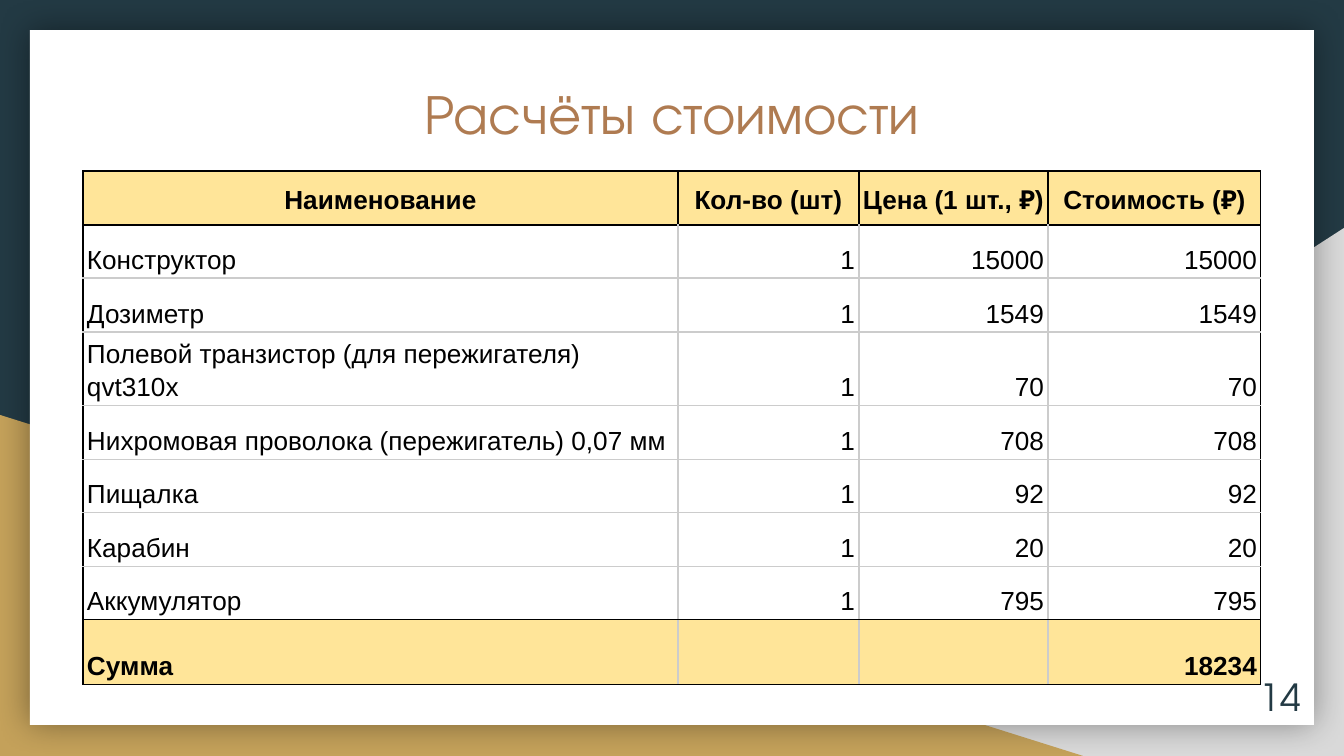
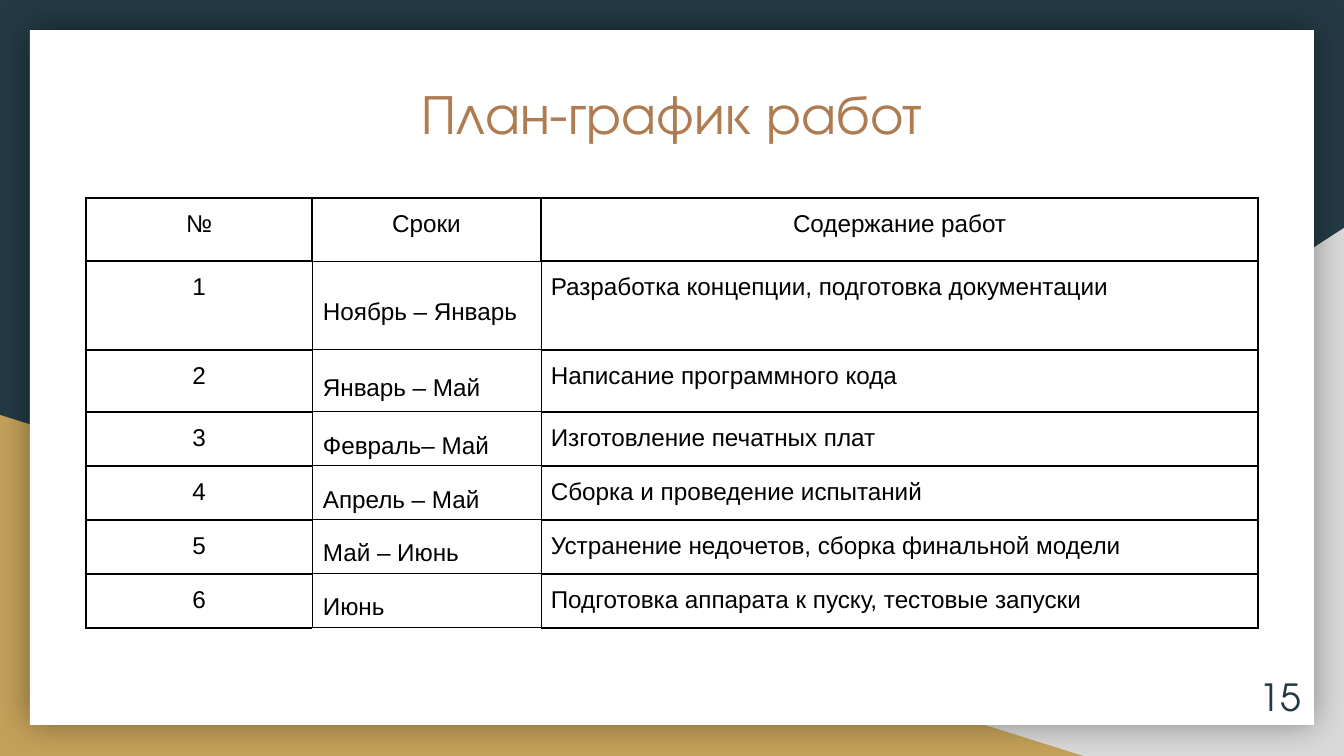
"""Build two slides: a cost table and a work schedule on a shared framed layout."""
import lxml.etree
import pptx
import pptx.dml.color
import pptx.enum.shapes
import pptx.enum.text
import pptx.oxml.ns
import pptx.util

RGBColor = pptx.dml.color.RGBColor
Shape = pptx.enum.shapes.MSO_SHAPE
Align = pptx.enum.text.PP_ALIGN
Anchor = pptx.enum.text.MSO_ANCHOR
qn = pptx.oxml.ns.qn

NAVY = RGBColor(0x23, 0x3A, 0x44)
SILVER = RGBColor(0xD9, 0xD9, 0xD9)
SAND = RGBColor(0xC4, 0xA1, 0x5A)
COPPER = RGBColor(0xAF, 0x7B, 0x51)
CREAM = RGBColor(0xFF, 0xE5, 0x99)
GRID = RGBColor(0xCC, 0xCC, 0xCC)
WHITE = RGBColor(0xFF, 0xFF, 0xFF)
BLACK = RGBColor(0, 0, 0)
HEADING_FONT = "TeX Gyre Adventor"
TABLE_FONT = "Arial"
WIDTH, HEIGHT = 1344, 756
EMU_PER_PX = 9144000 / WIDTH

COST_HEADER = ["Наименование", "Кол-во (шт)", "Цена (1 шт., ₽)", "Стоимость (₽)"]
PARTS = [
    ("Конструктор", 1, 15000),
    ("Дозиметр", 1, 1549),
    ("Полевой транзистор (для пережигателя) qvt310x", 1, 70),
    ("Нихромовая проволока (пережигатель) 0,07 мм", 1, 708),
    ("Пищалка", 1, 92),
    ("Карабин", 1, 20),
    ("Аккумулятор", 1, 795),
]
PLAN_HEADER = ["№", "Сроки", "Содержание работ"]
STAGES = [
    ("Ноябрь – Январь", "Разработка концепции, подготовка документации"),
    ("Январь – Май", "Написание программного кода"),
    ("Февраль– Май", "Изготовление печатных плат"),
    ("Апрель – Май", "Сборка и проведение испытаний"),
    ("Май – Июнь", "Устранение недочетов, сборка финальной модели"),
    ("Июнь", "Подготовка аппарата к пуску, тестовые запуски"),
]


def px(length):
    return pptx.util.Emu(round(length * EMU_PER_PX))


def write(frame, text, font, size, color, align, margins, anchor=Anchor.TOP, bold=False):
    frame.text = text
    frame.word_wrap = True
    frame.auto_size = pptx.enum.text.MSO_AUTO_SIZE.NONE
    frame.vertical_anchor = anchor
    frame.margin_left = frame.margin_right = px(margins[0])
    frame.margin_top = frame.margin_bottom = px(margins[1])
    format_text(frame.paragraphs[0], font, size, color, align, bold)


def format_text(para, font, size, color, align, bold=False):
    para.alignment = align
    for span in para.runs:
        span.font.name = font
        span.font.size = pptx.util.Pt(size)
        span.font.color.rgb = color
        span.font.bold = bold


def add_backdrop(page, layout):
    layout.background.fill.solid()
    layout.background.fill.fore_color.rgb = NAVY
    backdrop = [
        (Shape.RIGHT_TRIANGLE, (527, 228, 817, 528), SILVER),
        (Shape.RIGHT_TRIANGLE, (0, 415, 1083, 341), SAND),
        (Shape.RECTANGLE, (30, 30, 1284, 695), WHITE),
    ]
    for index, (kind, place, color) in enumerate(backdrop):
        shape = page.shapes.add_shape(kind, *map(px, place))
        shape.shadow.inherit = False
        shape.fill.solid()
        shape.fill.fore_color.rgb = color
        shape.line.fill.background()
        properties = shape.element.spPr
        if color == SILVER:
            properties.find(qn("a:xfrm")).set("flipH", "1")
        if color == WHITE:
            effects = properties.find(qn("a:effectLst"))
            glow = lxml.etree.SubElement(effects, qn("a:outerShdw"), blurRad=str(pptx.util.Pt(18)),
                                         algn="ctr", rotWithShape="0")
            tint = lxml.etree.SubElement(glow, qn("a:srgbClr"), val=str(BLACK))
            lxml.etree.SubElement(tint, qn("a:alpha"), val="40000")
        layout.shapes.element.insert(2 + index, shape.element)


def add_heading(page, text, width):
    title = page.shapes.title
    title.left, title.top = px((WIDTH - width) / 2), px(66)
    title.width, title.height = px(width), px(100)
    write(title.text_frame, text, HEADING_FONT, 30, COPPER, Align.CENTER, (13, 13))


def add_number(page, number):
    box = page.shapes.add_textbox(px(1234), px(668), px(80), px(58))
    write(box.text_frame, str(number), HEADING_FONT, 20, NAVY, Align.RIGHT, (13, 13), Anchor.MIDDLE)


def set_borders(cell, rule, row, column):
    properties = cell._tc.get_or_add_tcPr()
    for index, side in enumerate("LRTB"):
        color, width = rule(row, column, side)
        line = lxml.etree.Element(qn("a:ln" + side), w=str(pptx.util.Pt(width)))
        fill = lxml.etree.SubElement(line, qn("a:solidFill"))
        lxml.etree.SubElement(fill, qn("a:srgbClr"), val=str(color))
        properties.insert(index, line)


def add_grid(page, corner, widths, heights, rows, style, borders):
    frame = page.shapes.add_table(len(rows), len(widths), *map(px, (*corner, sum(widths), sum(heights))))
    table = frame.table
    table.first_row = table.horz_banding = False
    for column, width in zip(table.columns, widths):
        column.width = px(width)
    for line, height in zip(table.rows, heights):
        line.height = px(height)
    for row, values in enumerate(rows):
        for column, value in enumerate(values):
            cell = table.cell(row, column)
            cell.text = str(value)
            style(cell, row, column)
            set_borders(cell, borders, row, column)


def set_cell(cell, size, align, anchor, margins, spacing, bold=False, fill=None):
    cell.vertical_anchor = anchor
    cell.margin_left = cell.margin_right = px(margins[0])
    cell.margin_top = cell.margin_bottom = px(margins[1])
    para = cell.text_frame.paragraphs[0]
    para.line_spacing = spacing
    format_text(para, TABLE_FONT, size, BLACK, align, bold)
    if fill is None:
        cell.fill.background()
    else:
        cell.fill.solid()
        cell.fill.fore_color.rgb = fill


def cost_style(cell, row, column):
    header = row == 0
    strong = header or row == len(PARTS) + 1
    align = Align.CENTER if header else Align.RIGHT if column else Align.LEFT
    set_cell(cell, 14, align, Anchor.MIDDLE if header else Anchor.BOTTOM, (4, 3), 1.15,
             strong, CREAM if strong else None)


def cost_borders(row, column, side):
    last = len(PARTS) + 1
    dark = {
        "L": row == 0 or column == 0,
        "R": row == 0 or column == len(COST_HEADER) - 1,
        "T": row in (0, 1, last),
        "B": row in (0, last - 1, last),
    }
    return (BLACK if dark[side] else GRID), 0.75


def plan_style(cell, row, column):
    if row and column == 1:
        set_cell(cell, 13, Align.LEFT, Anchor.MIDDLE, (11, 0), 1.5)
    else:
        align = Align.LEFT if row and column else Align.CENTER
        set_cell(cell, 13, align, Anchor.TOP, (10, 13), 1.0)


def plan_borders(row, column, side):
    beside_dates = column == 1 or (column, side) in ((0, "R"), (2, "L"))
    thin = beside_dates if row else (column, side) == (1, "B")
    return BLACK, 0.5 if thin else 1


def main():
    deck = pptx.Presentation()
    deck.slide_width, deck.slide_height = px(WIDTH), px(HEIGHT)
    layout = deck.slide_layouts[5]

    costs = deck.slides.add_slide(layout)
    add_backdrop(costs, layout)
    add_heading(costs, "Расчёты стоимости", 538)
    priced = [(name, count, price, count * price) for name, count, price in PARTS]
    total = ("Сумма", "", "", sum(part[3] for part in priced))
    add_grid(costs, (83, 171), [595, 181, 189, 213], [54, 53] * 4 + [65],
             [COST_HEADER, *priced, total], cost_style, cost_borders)
    add_number(costs, 14)

    plan = deck.slides.add_slide(layout)
    add_heading(plan, "План-график работ", 564)
    stages = [(number, *stage) for number, stage in enumerate(STAGES, 1)]
    add_grid(plan, (86, 198), [226, 229, 717], [63, 89, 62] + [54] * 4,
             [PLAN_HEADER, *stages], plan_style, plan_borders)
    add_number(plan, 15)

    deck.save("out.pptx")


if __name__ == "__main__":
    main()
